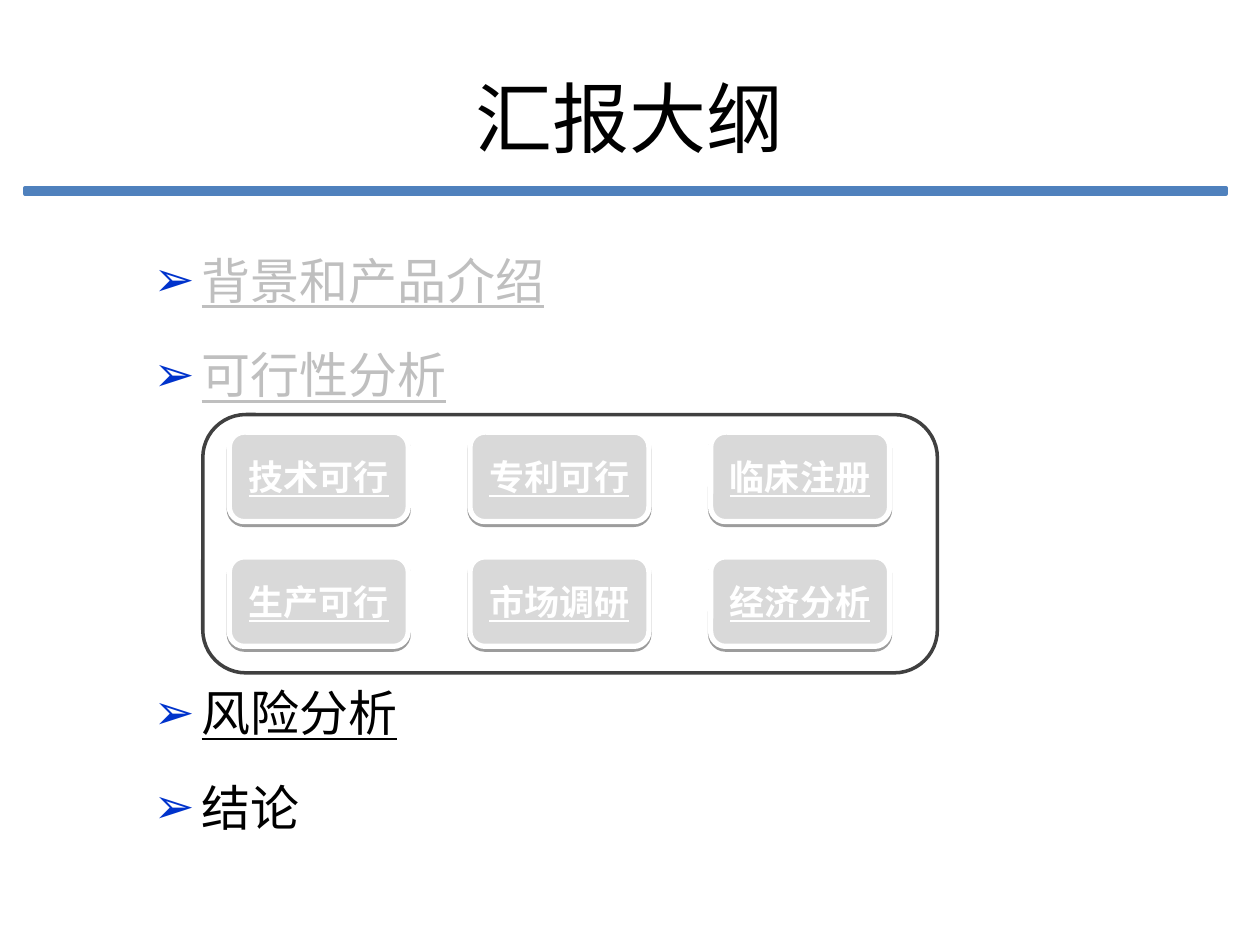
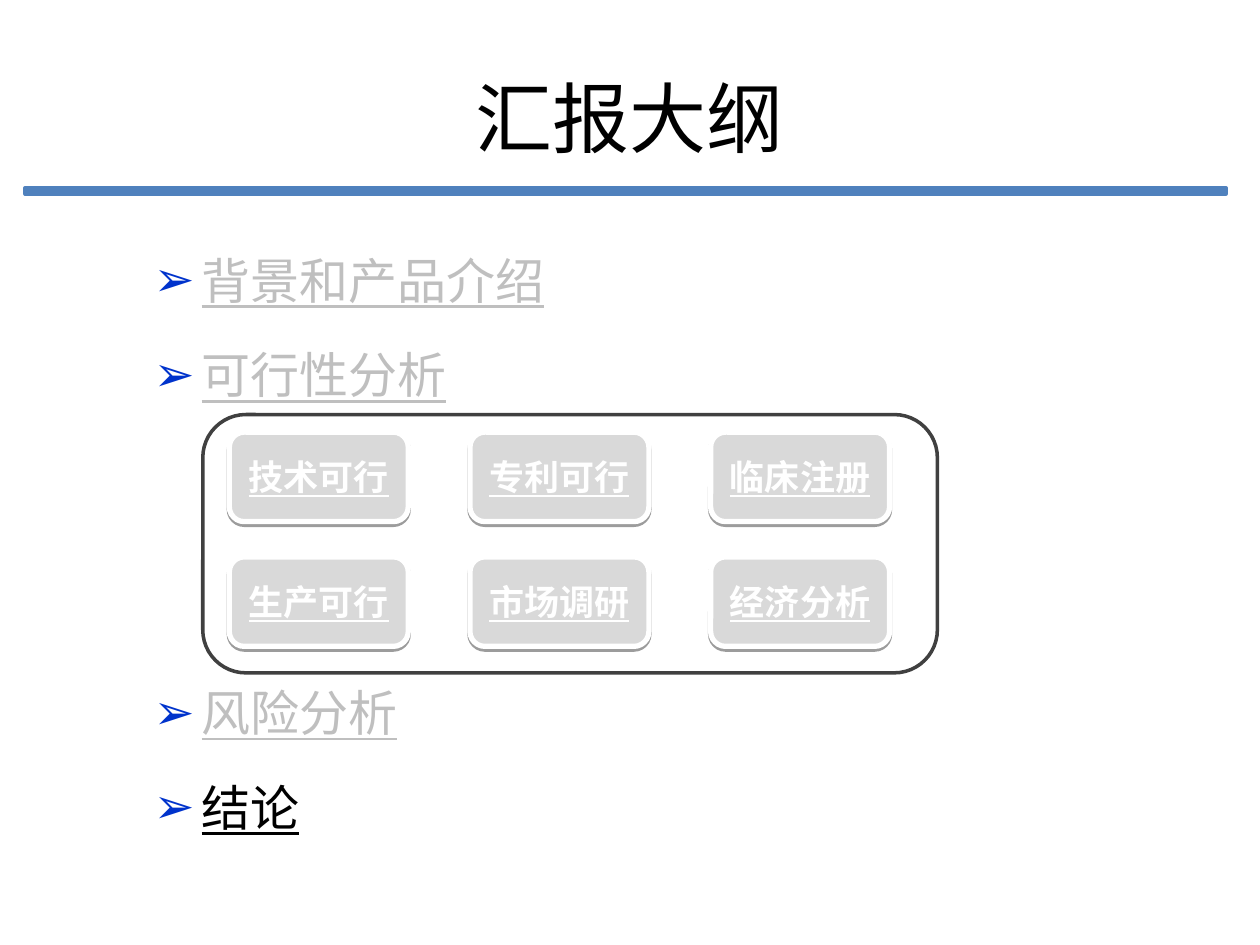
"""Build two outline slides that step through the sections of a report."""
import pptx
import pptx.dml.color
import pptx.enum.shapes
import pptx.enum.text
import pptx.oxml
import pptx.oxml.ns
import pptx.util

Inches = pptx.util.Inches
Pt = pptx.util.Pt
RGBColor = pptx.dml.color.RGBColor
MSO_SHAPE = pptx.enum.shapes.MSO_SHAPE
PP_ALIGN = pptx.enum.text.PP_ALIGN
MSO_ANCHOR = pptx.enum.text.MSO_ANCHOR

FONT = "Calibri"
BLACK = RGBColor(0x00, 0x00, 0x00)
WHITE = RGBColor(0xFF, 0xFF, 0xFF)
BAND = RGBColor(0x4F, 0x81, 0xBD)
BULLET = RGBColor(0x00, 0x33, 0xCC)
DIMMED = RGBColor(0xBF, 0xBF, 0xBF)
BOX = RGBColor(0xD9, 0xD9, 0xD9)
FRAME = RGBColor(0x40, 0x40, 0x40)

NS = pptx.oxml.ns.nsdecls("a")
BULLET_XML = (
    f'<a:buClr {NS}><a:srgbClr val="{BULLET}"/></a:buClr>',
    f'<a:buChar {NS} char="➢"/>',
)
SHADOW_XML = (
    f'<a:effectLst {NS}><a:outerShdw blurRad="0" dist="20000" dir="5400000" rotWithShape="0">'
    '<a:srgbClr val="000000"><a:alpha val="38000"/></a:srgbClr></a:outerShdw></a:effectLst>'
)

SECTIONS = ["背景和产品介绍", "可行性分析", "风险分析", "结论"]
SPACE_BEFORE = [0, 7, 146, 7]
TOPICS = [["技术可行", "专利可行", "临床注册"], ["生产可行", "市场调研", "经济分析"]]
# Per slide: index of the current section and number of underlined sections
STEPS = [(2, 3), (3, 4)]


def add_box(s, shape, left, top, width, height, fill, line, weight):
    sp = s.shapes.add_shape(shape, Inches(left), Inches(top), Inches(width), Inches(height))
    sp.shadow.inherit = False
    if fill is None:
        sp.fill.background()
    else:
        sp.fill.solid()
        sp.fill.fore_color.rgb = fill
    sp.line.color.rgb = line
    sp.line.width = Pt(weight)
    return sp


def style_text(p, size, color, bold=False, underline=False):
    for r in p.runs:
        r.font.name = FONT
        r.font.size = Pt(size)
        r.font.color.rgb = color
        r.font.bold = bold
        r.font.underline = underline


prs = pptx.Presentation()
prs.slide_width = Inches(10)
prs.slide_height = Inches(7.5)

for step, (current, underlined) in enumerate(STEPS):
    s = prs.slides.add_slide(prs.slide_layouts[1])

    if step == 0:
        band = add_box(s, MSO_SHAPE.RECTANGLE, 0.2, 1.49, 9.53, 0.05, BAND, BAND, 2)
        prs.slide_master.shapes.element.insert(2, band.element)

    title = s.shapes.title
    title.left, title.top, title.width, title.height = map(Inches, (0.5, 0.3, 9, 1.25))
    tf = title.text_frame
    tf.text = "汇报大纲"
    tf.vertical_anchor = MSO_ANCHOR.MIDDLE
    tf.paragraphs[0].alignment = PP_ALIGN.CENTER
    style_text(tf.paragraphs[0], 44, BLACK)

    body = s.placeholders[1]
    body.left, body.top, body.width, body.height = map(Inches, (1.12, 1.75, 9, 5.15))
    tf = body.text_frame
    tf.text = "\n".join(SECTIONS)
    tf.auto_size = pptx.enum.text.MSO_AUTO_SIZE.NONE
    for i, p in enumerate(tf.paragraphs):
        pPr = p._p.get_or_add_pPr()
        pPr.set("marL", str(Inches(0.38)))
        pPr.set("indent", str(-Inches(0.38)))
        for xml in BULLET_XML:
            pPr.append(pptx.oxml.parse_xml(xml))
        p.line_spacing = 1.4
        p.space_before = Pt(SPACE_BEFORE[i])
        style_text(p, 28, DIMMED if i < current else BLACK, underline=i < underlined)

    for row, names in enumerate(TOPICS):
        for col, name in enumerate(names):
            sp = add_box(s, MSO_SHAPE.ROUNDED_RECTANGLE, 1.82 + 1.91 * col, 3.43 + 0.99 * row,
                         1.42, 0.71, BOX, WHITE, 3)
            sp._element.spPr.remove(sp._element.spPr.find(pptx.oxml.ns.qn("a:effectLst")))
            sp._element.spPr.append(pptx.oxml.parse_xml(SHADOW_XML))
            tf = sp.text_frame
            tf.text = name
            tf.vertical_anchor = MSO_ANCHOR.MIDDLE
            tf.paragraphs[0].alignment = PP_ALIGN.CENTER
            style_text(tf.paragraphs[0], 20, WHITE, bold=True, underline=True)

    add_box(s, MSO_SHAPE.ROUNDED_RECTANGLE, 1.61, 3.29, 5.83, 2.05, None, FRAME, 2)

prs.save("out.pptx")
